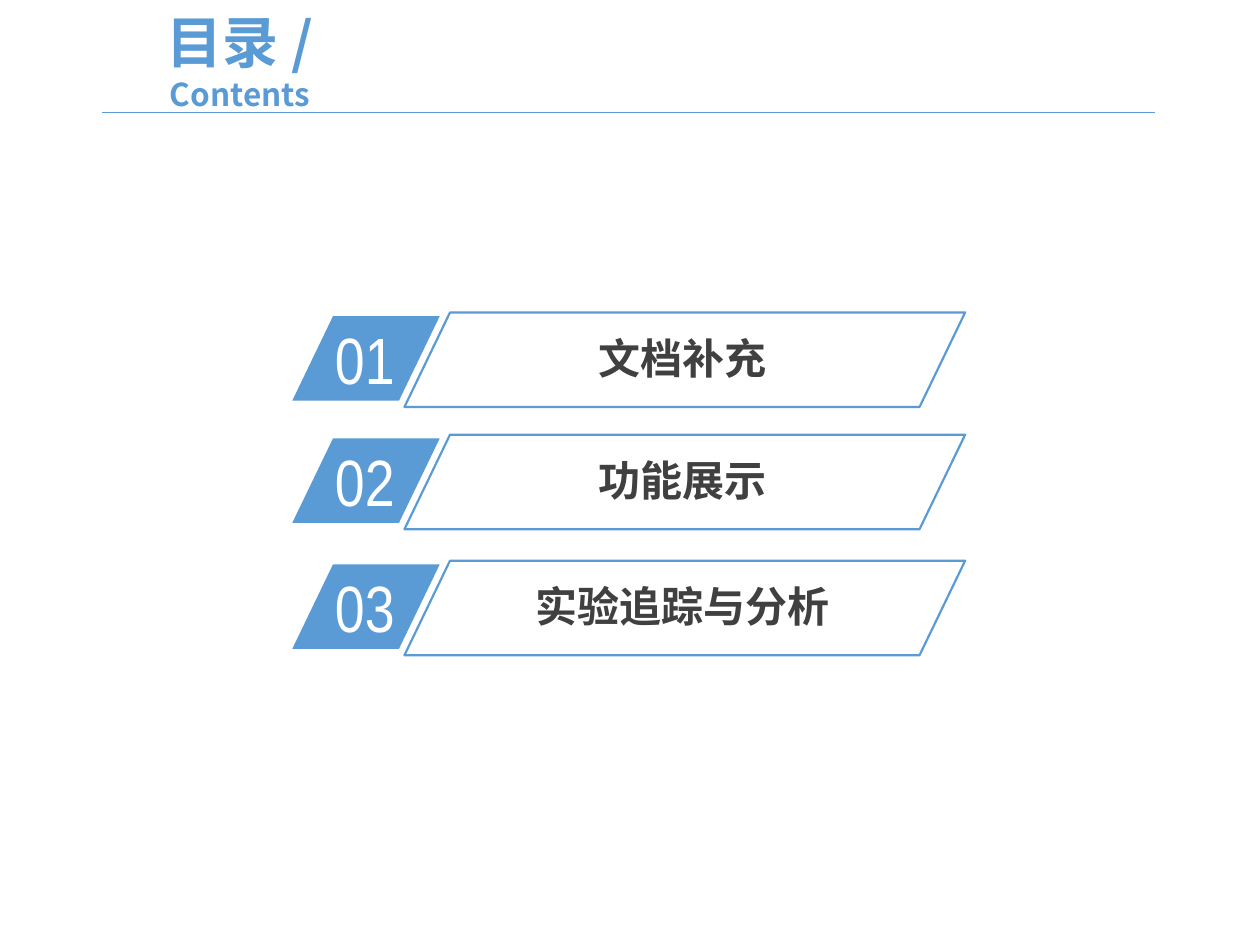
"""Build a contents slide with three numbered sections."""
from dataclasses import dataclass

from lxml.etree import SubElement
from pptx import Presentation
from pptx.dml.color import RGBColor
from pptx.enum.shapes import MSO_CONNECTOR, MSO_SHAPE
from pptx.enum.text import MSO_ANCHOR, MSO_AUTO_SIZE, PP_ALIGN
from pptx.oxml.ns import qn
from pptx.util import Inches, Pt


@dataclass(frozen=True)
class Theme:
    blue: RGBColor = RGBColor(0x5B, 0x9B, 0xD5)
    dark: RGBColor = RGBColor(0x40, 0x40, 0x40)
    white: RGBColor = RGBColor(0xFF, 0xFF, 0xFF)
    heading_font: str = "Noto Sans CJK SC"
    number_font: str = "Arial Narrow"
    title_size: float = 32
    subtitle_size: float = 18
    label_size: float = 24
    number_size: float = 37.4
    rule_width: float = 0.5
    outline_width: float = 1.25
    slant: float = 0.482


THEME = Theme()
SECTIONS = [
    ("01", "文档补充", 2.48),
    ("02", "功能展示", 3.45),
    ("03", "实验追踪与分析", 4.45),
]
LABEL_CENTER = 5.42


def style_span(span, font, size, color, bold=False):
    span.font.name = font
    span.font.size = Pt(size)
    span.font.bold = bold
    span.font.color.rgb = color
    SubElement(span.font._element, qn("a:ea"), typeface=font)


def add_title(page):
    box = page.shapes.title
    box.left, box.top = Inches(0.67), Inches(0.21)
    box.width, box.height = Inches(2.47), Inches(0.54)
    frame = box.text_frame
    frame.auto_size = MSO_AUTO_SIZE.NONE
    frame.vertical_anchor = MSO_ANCHOR.MIDDLE
    frame.text = "目录 /\nContents"
    for para, size in zip(frame.paragraphs, (THEME.title_size, THEME.subtitle_size)):
        para.alignment = PP_ALIGN.CENTER
        style_span(para.runs[0], THEME.heading_font, size, THEME.blue, bold=True)


def add_rule(page):
    rule = page.shapes.add_connector(
        MSO_CONNECTOR.STRAIGHT, Inches(0.81), Inches(0.89), Inches(9.17), Inches(0.89)
    )
    rule.line.color.rgb = THEME.blue
    rule.line.width = Pt(THEME.rule_width)
    SubElement(rule._element.spPr, qn("a:effectLst"))


def add_parallelogram(group, left, top, width, height, filled):
    shape = group.shapes.add_shape(
        MSO_SHAPE.PARALLELOGRAM, Inches(left), Inches(top), Inches(width), Inches(height)
    )
    shape.adjustments[0] = THEME.slant
    shape.shadow.inherit = False
    if filled:
        shape.fill.solid()
        shape.fill.fore_color.rgb = THEME.blue
        shape.line.fill.background()
    else:
        shape.fill.background()
        shape.line.color.rgb = THEME.blue
        shape.line.width = Pt(THEME.outline_width)


def add_text(group, text, left, top, width, height, font, size, color, bold=False):
    box = group.shapes.add_textbox(Inches(left), Inches(top), Inches(width), Inches(height))
    frame = box.text_frame
    frame.word_wrap = True
    frame.text = text
    style_span(frame.paragraphs[0].runs[0], font, size, color, bold)


def add_section(page, number, label, top):
    group = page.shapes.add_group_shape()
    add_parallelogram(group, 2.32, top + 0.03, 1.17, 0.67, filled=True)
    add_text(group, number, 2.56, top, 1.12, 0.73,
             THEME.number_font, THEME.number_size, THEME.white)
    text_width = len(label) * THEME.label_size / 72
    add_text(group, label, LABEL_CENTER - text_width / 2 - 0.1, top + 0.11,
             text_width + 0.25, 0.5,
             THEME.heading_font, THEME.label_size, THEME.dark, bold=True)
    add_parallelogram(group, 3.21, top, 4.45, 0.75, filled=False)


def main():
    deck = Presentation()
    deck.slide_width, deck.slide_height = Inches(10), Inches(7.5)
    page = deck.slides.add_slide(deck.slide_layouts.get_by_name("Title Only"))
    add_title(page)
    add_rule(page)
    for number, label, top in SECTIONS:
        add_section(page, number, label, top)
    deck.save("out.pptx")


if __name__ == "__main__":
    main()
